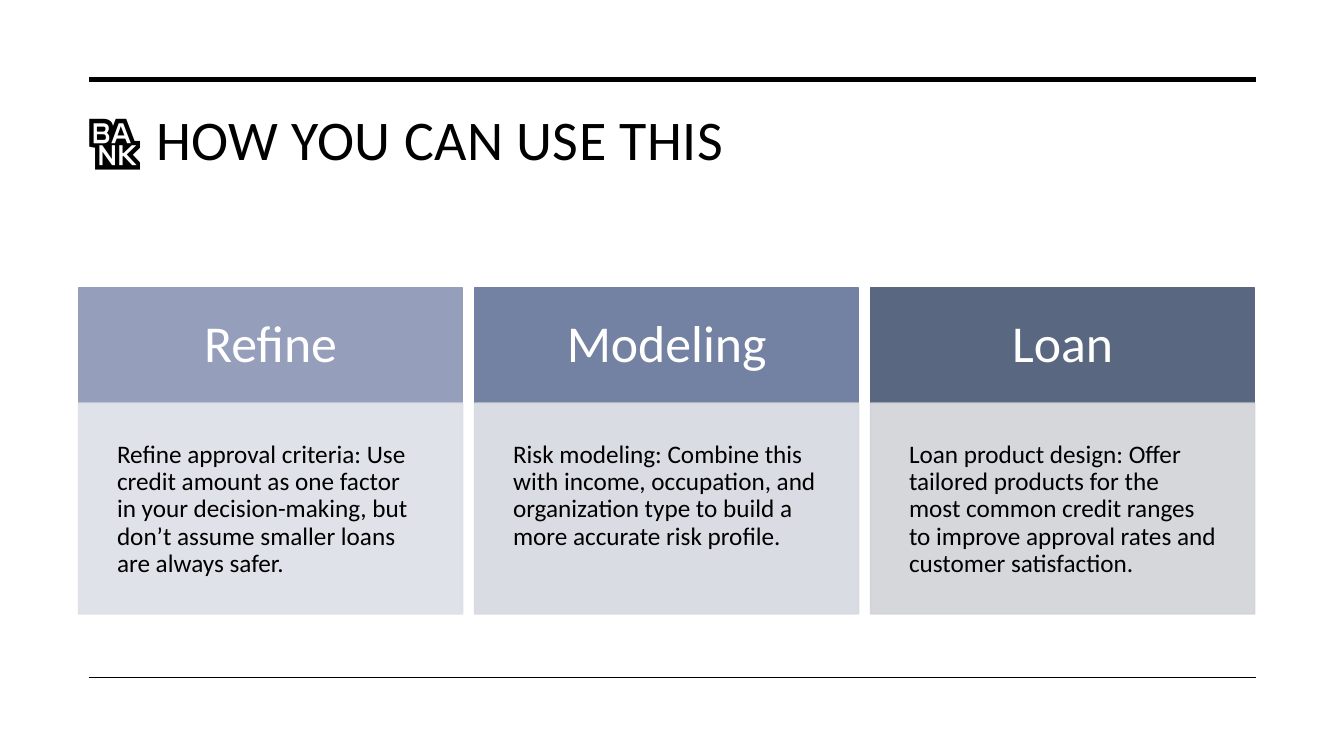
from lxml import etree
from pptx import Presentation
from pptx.dml.color import RGBColor
from pptx.enum.shapes import MSO_CONNECTOR, MSO_SHAPE
from pptx.enum.text import MSO_ANCHOR, PP_ALIGN
from pptx.oxml.ns import qn
from pptx.util import Cm, Pt

STRAIGHT = MSO_CONNECTOR.STRAIGHT
RECTANGLE = MSO_SHAPE.RECTANGLE
TOP, MIDDLE = MSO_ANCHOR.TOP, MSO_ANCHOR.MIDDLE
LEFT, CENTER = PP_ALIGN.LEFT, PP_ALIGN.CENTER

CARDS = [
    ("Refine", "959EBB", "DDDFE7",
     "Refine approval criteria: Use credit amount as one factor in your "
     "decision-making, but don’t assume smaller loans are always safer."),
    ("Modeling", "7381A2", "D7D9E0",
     "Risk modeling: Combine this with income, occupation, and organization "
     "type to build a more accurate risk profile."),
    ("Loan", "596781", "D1D3D8",
     "Loan product design: Offer tailored products for the most common credit "
     "ranges to improve approval rates and customer satisfaction."),
]


def color(value):
    return RGBColor.from_string(value)


def write(shape, text, size, ink="000000", align=LEFT, anchor=TOP,
          inset=(0.25, 0.13), line_spacing=1.0, tracking=None):
    frame = shape.text_frame
    frame.word_wrap = True
    frame.vertical_anchor = anchor
    frame.margin_left = frame.margin_right = Cm(inset[0])
    frame.margin_top = frame.margin_bottom = Cm(inset[1])
    paragraph = frame.paragraphs[0]
    paragraph.alignment = align
    paragraph.line_spacing = line_spacing
    run = paragraph.add_run()
    run.text = text
    run.font.name = "Calibri"
    run.font.size = Pt(size)
    run.font.color.rgb = color(ink)
    if tracking:
        run.font._element.set("spc", str(round(tracking * 100)))


def add_block(slide, box, fill, opacity=100):
    block = slide.shapes.add_shape(RECTANGLE, *map(Cm, box))
    block.shadow.inherit = False
    block.fill.solid()
    block.fill.fore_color.rgb = color(fill)
    block.line.color.rgb = color(fill)
    block.line.width = Pt(1)
    if opacity < 100:
        for tint in block._element.spPr.iter(qn("a:srgbClr")):
            etree.SubElement(tint, qn("a:alpha"), val=str(opacity * 1000))
    return block


def add_rule(slide, left, right, y, weight):
    rule = slide.shapes.add_connector(STRAIGHT, Cm(left), Cm(y), Cm(right), Cm(y))
    rule.line.color.rgb = color("000000")
    rule.line.width = Pt(weight)
    etree.SubElement(rule._element.spPr, qn("a:effectLst"))


def add_heading(slide, box):
    heading = slide.shapes.add_textbox(*map(Cm, box))
    write(heading, "🏦 HOW YOU CAN USE THIS", 40, tracking=0.3)


def add_card(slide, box, title, title_fill, body_fill, body):
    left, top, width, height = box
    title_height = 2.9
    header = add_block(slide, (left, top, width, title_height), title_fill)
    write(header, title, 37, ink="FFFFFF", align=CENTER, anchor=MIDDLE,
          inset=(0.75, 0.75), line_spacing=0.9)
    body_box = (left, top + title_height, width, height - title_height)
    panel = add_block(slide, body_box, body_fill, opacity=90)
    write(panel, body, 18, inset=(0.97, 0.97), line_spacing=0.9)


def add_cards(slide, box):
    left, top, width, height = box
    gap = 0.3
    card_width = (width - gap * (len(CARDS) - 1)) / len(CARDS)
    for index, card in enumerate(CARDS):
        card_left = left + index * (card_width + gap)
        add_card(slide, (card_left, top, card_width, height), *card)


def main():
    presentation = Presentation()
    presentation.slide_width = Cm(33.87)
    presentation.slide_height = Cm(19.05)
    slide = presentation.slides.add_slide(presentation.slide_layouts[6])
    add_heading(slide, (1.96, 2.51, 29.69, 3.2))
    for y, weight in ((2.01, 3.5), (17.07, 1)):
        add_rule(slide, 2.24, 31.65, y, weight)
    add_cards(slide, (1.98, 7.26, 29.64, 8.21))
    presentation.save("out.pptx")


if __name__ == "__main__":
    main()
